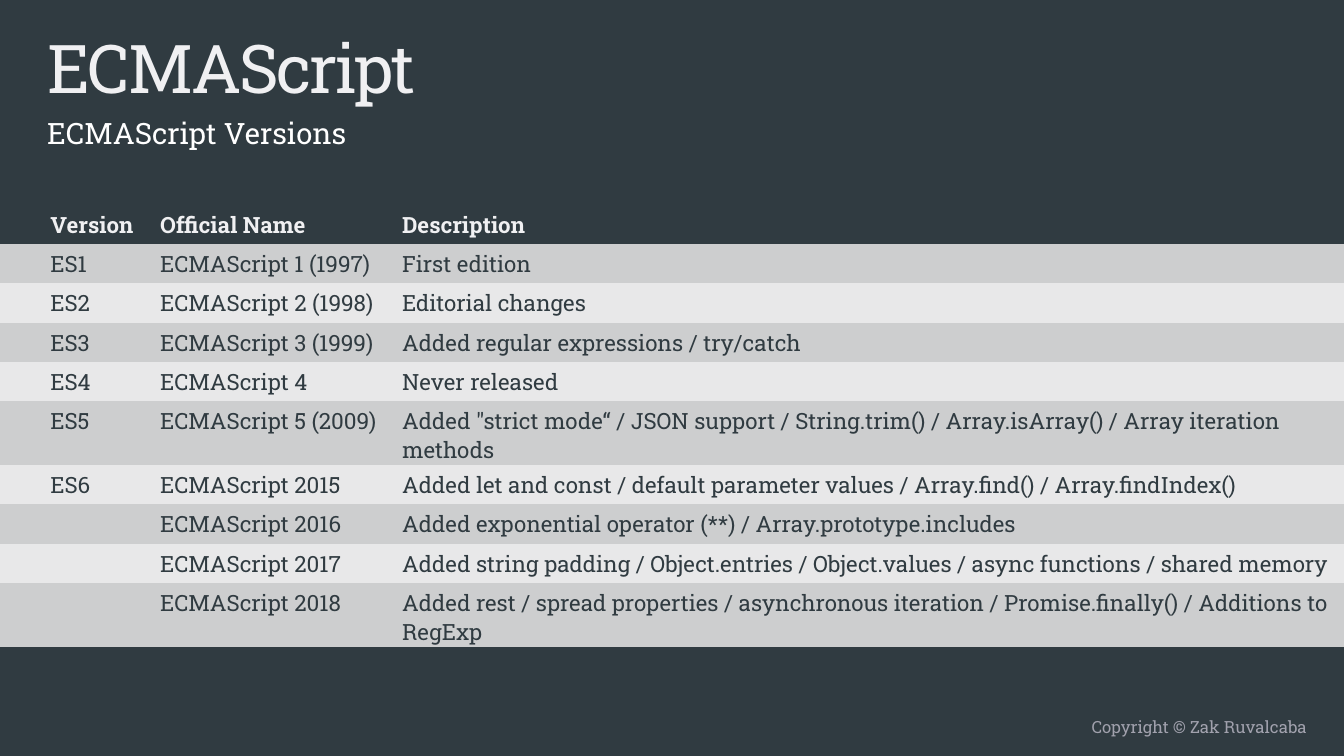
import pptx
import pptx.dml.color
import pptx.enum.text
import pptx.util

Cm = pptx.util.Cm
Pt = pptx.util.Pt
RGBColor = pptx.dml.color.RGBColor
Align = pptx.enum.text.PP_ALIGN

SLATE = RGBColor(0x30, 0x3B, 0x41)
OFF_WHITE = RGBColor(0xF0, 0xF0, 0xF2)
WHITE = RGBColor(0xFF, 0xFF, 0xFF)
FOOTER_GRAY = RGBColor(0xA1, 0xA1, 0xAD)
DARK_BAND = RGBColor(0xCD, 0xCE, 0xCF)
LIGHT_BAND = RGBColor(0xE8, 0xE8, 0xE9)

FONT = "Roboto Slab"
SLIDE_WIDTH, SLIDE_HEIGHT = Cm(33.87), Cm(19.05)
TABLE_TOP = Cm(5.16)
COLUMN_WIDTHS = (Cm(3.78), Cm(6.1), Cm(23.99))
ROW_HEIGHT = Cm(0.99)
FIRST_COLUMN_INDENT = Cm(1.27)

VERSIONS = [
    ("Version", "Official Name", "Description"),
    ("ES1", "ECMAScript 1 (1997)", "First edition"),
    ("ES2", "ECMAScript 2 (1998)", "Editorial changes"),
    ("ES3", "ECMAScript 3 (1999)", "Added regular expressions / try/catch"),
    ("ES4", "ECMAScript 4", "Never released"),
    ("ES5", "ECMAScript 5 (2009)",
     'Added "strict mode“ / JSON support / String.trim() / Array.isArray() / '
     "Array iteration methods"),
    ("ES6", "ECMAScript 2015",
     "Added let and const / default parameter values / Array.find() / Array.findIndex()"),
    ("", "ECMAScript 2016", "Added exponential operator (**) / Array.prototype.includes"),
    ("", "ECMAScript 2017",
     "Added string padding / Object.entries / Object.values / async functions / shared memory"),
    ("", "ECMAScript 2018",
     "Added rest / spread properties / asynchronous iteration / Promise.finally() / "
     "Additions to RegExp"),
]


def style_paragraph(para, size, color, bold=False):
    para.font.name = FONT
    para.font.size = Pt(size)
    para.font.bold = bold
    para.font.color.rgb = color


def add_text(page, text, left, top, width, height, size, color, align=Align.LEFT):
    box = page.shapes.add_textbox(left, top, width, height)
    box.text_frame.word_wrap = True
    para = box.text_frame.paragraphs[0]
    para.text = text
    para.alignment = align
    style_paragraph(para, size, color)
    return para


def fill_cell(cell, text, band, color, bold):
    cell.fill.solid()
    cell.fill.fore_color.rgb = band
    para = cell.text_frame.paragraphs[0]
    if text:
        para.text = text
    style_paragraph(para, 16, color, bold)


def add_versions_table(page):
    """Add the full-width table; rows with long text grow to two lines."""
    frame = page.shapes.add_table(
        len(VERSIONS), len(COLUMN_WIDTHS), 0, TABLE_TOP,
        SLIDE_WIDTH, ROW_HEIGHT * len(VERSIONS))
    table = frame.table
    for column, width in zip(table.columns, COLUMN_WIDTHS):
        column.width = width
    for row_index, texts in enumerate(VERSIONS):
        is_header = row_index == 0
        band = SLATE if is_header else (LIGHT_BAND, DARK_BAND)[row_index % 2]
        color = OFF_WHITE if is_header else SLATE
        for column_index, text in enumerate(texts):
            fill_cell(table.cell(row_index, column_index), text, band, color, is_header)
        table.cell(row_index, 0).margin_left = FIRST_COLUMN_INDENT
    # The plain grid keeps the bands free of the style's white borders.
    style_id = frame._element.graphic.graphicData.tbl.tblPr.find(
        pptx.oxml.ns.qn("a:tableStyleId"))
    style_id.text = "{2D5ABB26-0587-4C30-8999-92F81FD0307C}"


def main():
    deck = pptx.Presentation()
    deck.slide_width, deck.slide_height = SLIDE_WIDTH, SLIDE_HEIGHT
    page = deck.slides.add_slide(deck.slide_layouts[6])
    page.background.fill.solid()
    page.background.fill.fore_color.rgb = SLATE

    add_text(page, "Copyright © Zak Ruvalcaba", Cm(16.93), Cm(17.93), Cm(16.26), Cm(0.79),
             12, FOOTER_GRAY, Align.RIGHT)
    title = add_text(page, "ECMAScript", Cm(0.94), Cm(0.53), Cm(29.87), Cm(2.01),
                     48, OFF_WHITE)
    title.runs[0].font._element.set("spc", "-150")
    subtitle = add_text(page, "ECMAScript Versions", Cm(0.94), Cm(2.51), Cm(29.87), Cm(0.99),
                        21, WHITE)
    subtitle.line_spacing = 1.3
    add_versions_table(page)
    deck.save("out.pptx")


if __name__ == "__main__":
    main()
